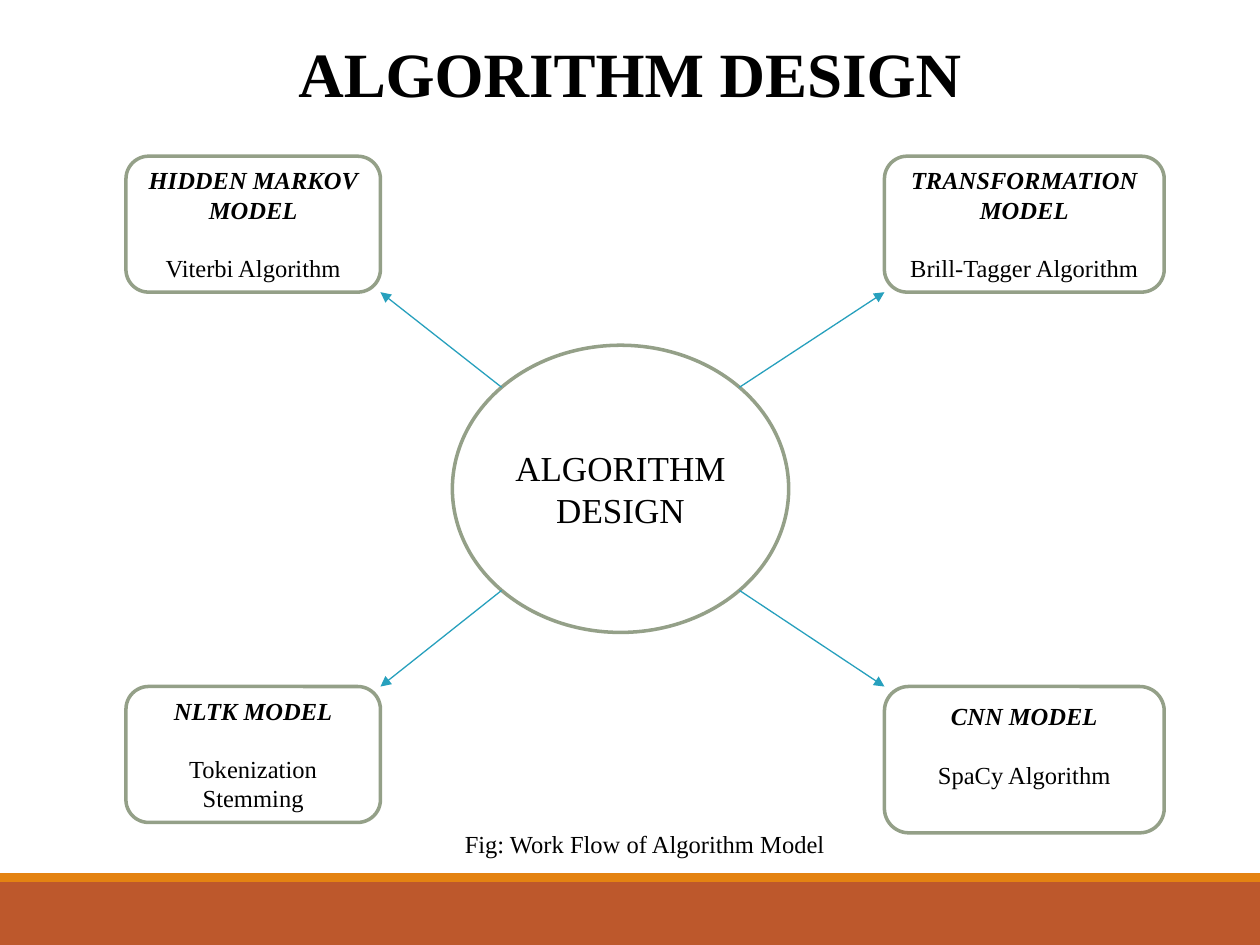
from math import sqrt
from lxml import etree
from pptx import Presentation
from pptx.dml.color import RGBColor
from pptx.enum.shapes import MSO_CONNECTOR, MSO_SHAPE
from pptx.enum.text import MSO_ANCHOR, PP_ALIGN
from pptx.oxml.ns import qn
from pptx.util import Cm, Pt

STRAIGHT = MSO_CONNECTOR.STRAIGHT
RECT, ROUNDED, OVAL = MSO_SHAPE.RECTANGLE, MSO_SHAPE.ROUNDED_RECTANGLE, MSO_SHAPE.OVAL
MIDDLE = MSO_ANCHOR.MIDDLE
LEFT, CENTER = PP_ALIGN.LEFT, PP_ALIGN.CENTER

FONT = "Times New Roman"
COLORS = {"text": "000000", "paper": "FFFFFF", "outline": "94A088",
          "arrow": "27A0BD", "band": "BD582C", "stripe": "E48312"}

WIDTH, HEIGHT = 25.4, 19.05
TITLE = "ALGORITHM DESIGN"
CAPTION = "Fig: Work Flow of Algorithm Model"
HUB = (9.12, 6.96, 6.78, 5.79)
COLUMNS = {-1: (2.54, 5.13), 1: (17.83, 5.64)}
ROWS = {-1: 3.15, 1: 13.84}
MODELS = [
    (-1, -1, 2.74, 0.13, "HIDDEN MARKOV MODEL", ["Viterbi Algorithm"]),
    (1, -1, 2.74, 0.13, "TRANSFORMATION MODEL", ["Brill-Tagger Algorithm"]),
    (-1, 1, 2.74, 0.13, "NLTK MODEL", ["Tokenization", "Stemming"]),
    (1, 1, 2.95, 0.71, "CNN MODEL", ["SpaCy Algorithm"]),
]


def rgb(name):
    return RGBColor.from_string(COLORS[name])


def add_panel(slide, kind, box, fill, outline=None):
    panel = slide.shapes.add_shape(kind, *map(Cm, box))
    panel.shadow.inherit = False
    panel.fill.solid()
    panel.fill.fore_color.rgb = rgb(fill)
    if outline:
        panel.line.color.rgb = rgb(outline)
        panel.line.width = Pt(2)
    else:
        panel.line.fill.background()
    panel.text_frame.word_wrap = True
    panel.text_frame.vertical_anchor = MIDDLE
    return panel


def write(paragraph, text, size, align=CENTER, bold=False, italic=False):
    paragraph.text = text
    paragraph.alignment = align
    font = paragraph.font
    font.name, font.size = FONT, Pt(size)
    font.bold, font.italic = bold, italic
    font.color.rgb = rgb("text")


def add_label(slide, box, text, size, **style):
    frame = slide.shapes.add_textbox(*map(Cm, box)).text_frame
    frame.word_wrap = True
    write(frame.paragraphs[0], text, size, **style)


def add_arrow(slide, start, end):
    arrow = slide.shapes.add_connector(STRAIGHT, *map(Cm, start + end))
    arrow.line.color.rgb = rgb("arrow")
    arrow.line.width = Pt(0.75)
    etree.SubElement(arrow.line._get_or_add_ln(), qn("a:tailEnd"), type="triangle")
    etree.SubElement(arrow._element.spPr, qn("a:effectLst"))


def add_model(slide, side, level, height, bottom_margin, heading, details):
    left, width = COLUMNS[side]
    top = ROWS[level]
    frame = add_panel(slide, ROUNDED, (left, top, width, height),
                      "paper", "outline").text_frame
    frame.margin_bottom = Cm(bottom_margin)
    write(frame.paragraphs[0], heading, 14, bold=True, italic=True)
    for index, detail in enumerate(details):
        paragraph = frame.add_paragraph()
        write(paragraph, detail, 14)
        if index == 0:
            paragraph.space_before = Pt(16.5)

    hub_left, hub_top, hub_width, hub_height = HUB
    start = (hub_left + hub_width / 2 * (1 + side / sqrt(2)),
             hub_top + hub_height / 2 * (1 + level / sqrt(2)))
    corner = (left + width if side < 0 else left,
              top + height if level < 0 else top)
    add_arrow(slide, start, corner)


def main():
    deck = Presentation()
    deck.slide_width, deck.slide_height = Cm(WIDTH), Cm(HEIGHT)
    slide = deck.slides.add_slide(deck.slide_layouts[6])

    add_panel(slide, RECT, (0, 17.78, WIDTH, 1.27), "band")
    add_panel(slide, RECT, (0, 17.6, WIDTH, 0.18), "stripe")
    hub = add_panel(slide, OVAL, HUB, "paper", "outline")
    write(hub.text_frame.paragraphs[0], TITLE, 20)
    for model in MODELS:
        add_model(slide, *model)
    add_label(slide, (0, 0.58, WIDTH, 1.8), TITLE, 36, bold=True)
    add_label(slide, (9.12, 16.59, 10.77, 1.45), CAPTION, 14, align=LEFT)

    deck.save("out.pptx")


if __name__ == "__main__":
    main()
